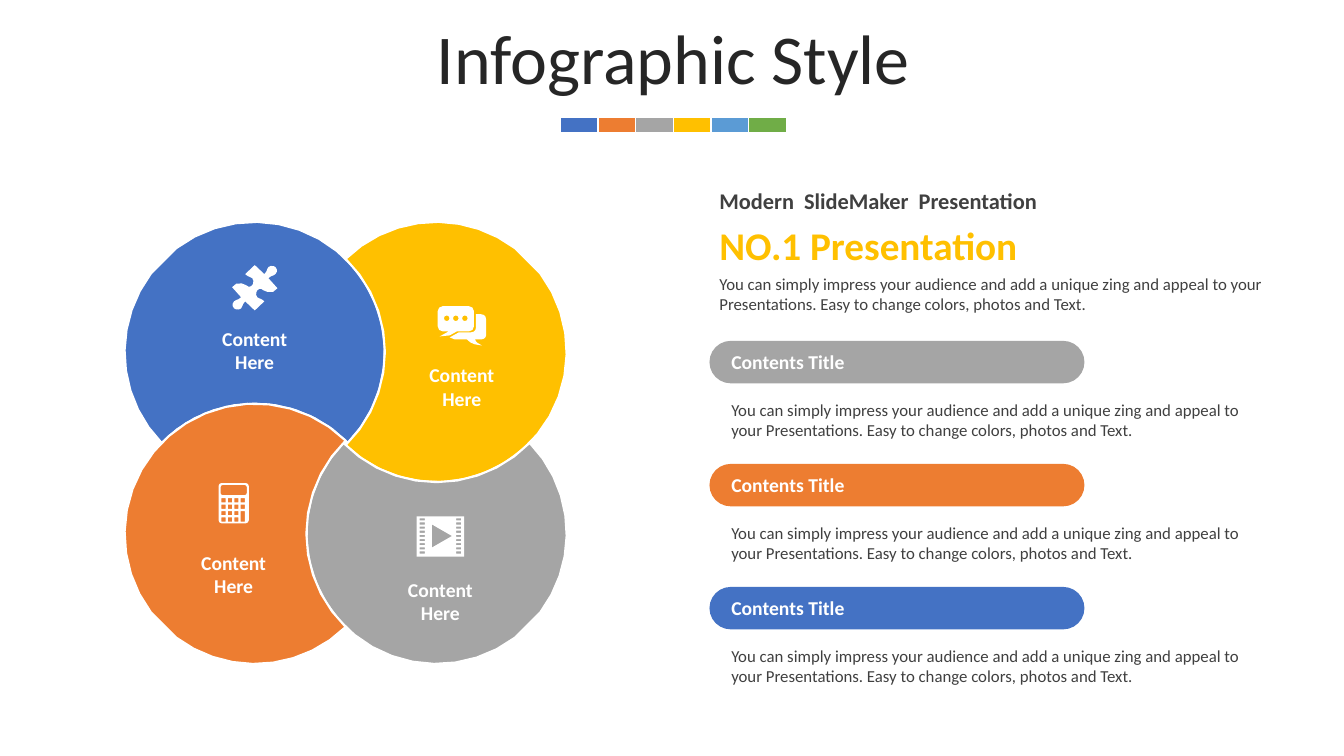
from math import acos, ceil, cos, degrees, radians, sin

from pptx import Presentation
from pptx.dml.color import RGBColor
from pptx.enum.shapes import MSO_SHAPE
from pptx.enum.text import MSO_ANCHOR, PP_ALIGN
from pptx.util import Cm, Pt

BLUE, ORANGE, GRAY, YELLOW = "4472C4", "ED7D31", "A5A5A5", "FFC000"
SKY, GREEN, WHITE, DARK, BLACK = "5B9BD5", "70AD47", "FFFFFF", "404040", "262626"
ICON_UNIT = Cm(2.54) / 100
BODY_TEXT = ("You can simply impress your audience and add a unique zing and appeal to "
             "your Presentations. Easy to change colors, photos and Text.")


def color(hex_string):
    return RGBColor.from_string(hex_string)


def paint(shape, fill, line=None, line_width=1):
    shape.shadow.inherit = False
    shape.fill.solid()
    shape.fill.fore_color.rgb = color(fill)
    if line:
        shape.line.color.rgb = color(line)
        shape.line.width = Pt(line_width)
    else:
        shape.line.fill.background()


def add_text(slide, left, top, width, height, lines, size, text_color,
             bold=False, align=PP_ALIGN.LEFT, anchor=MSO_ANCHOR.TOP):
    frame = slide.shapes.add_textbox(left, top, width, height).text_frame
    frame.word_wrap = True
    frame.vertical_anchor = anchor
    frame.text = lines
    for paragraph in frame.paragraphs:
        paragraph.alignment = align
        paragraph.font.name = "Calibri"
        paragraph.font.size = Pt(size)
        paragraph.font.bold = bold
        paragraph.font.color.rgb = color(text_color)
    return frame


# Outline geometry
def arc(x, y, radius, start, end, step=10):
    count = ceil(abs(end - start) / step)
    angles = [radians(start + (end - start) * i / count) for i in range(count + 1)]
    return [(x + radius * cos(a), y + radius * sin(a)) for a in angles]


def rectangle(x, y, width, height):
    return [(x, y), (x + width, y), (x + width, y + height), (x, y + height)]


def rounded_rectangle(x, y, width, height, radius):
    corners = rectangle(x + radius, y + radius, width - 2 * radius, height - 2 * radius)
    return [point for i, (corner_x, corner_y) in enumerate(corners)
            for point in arc(corner_x, corner_y, radius, 180 + 90 * i, 270 + 90 * i, 45)]


def trace(start, *steps):
    """Follow lines (x, y) and cubic curves (x1, y1, x2, y2, x, y)."""
    points = [start]
    for step in steps:
        if len(step) == 2:
            points.append(step)
            continue
        x0, y0 = points[-1]
        x1, y1, x2, y2, x3, y3 = step
        for t in (i / 3 for i in range(1, 4)):
            a, b, c, d = (1 - t) ** 3, 3 * t * (1 - t) ** 2, 3 * t * t * (1 - t), t ** 3
            points.append((a * x0 + b * x1 + c * x2 + d * x3,
                           a * y0 + b * y1 + c * y2 + d * y3))
    return points


def add_outline(slide, left, top, contours, unit, fill, line=None):
    detail = 1000
    builder = None
    for contour in contours:
        points = [(x * detail, y * detail) for x, y in contour]
        if builder is None:
            builder = slide.shapes.build_freeform(*points[0], scale=unit / detail)
        else:
            builder.move_to(*points[0])
        builder.add_line_segments(points[1:], close=True)
    paint(builder.convert_to_shape(left, top), fill, line, 1.5)


# Icons, each centred on (0, 0)
def puzzle_icon():
    half = trace((22.5, 0.5),
                 (19.5, 6.5, 11.5, 4.5, 8.5, 2.5), (6.5, 0.5, 4.5, 0.5, 2.5, 2.5),
                 (1.5, 3.5, 0.5, 7.5, 2.5, 9.5), (5.5, 11.5, 6.5, 10.5, 9.5, 13.5),
                 (0, 22.5), (-9.5, 13.5),
                 (-12.5, 16.5, -11.5, 17.5, -13.5, 20.5),
                 (-15.5, 22.5, -19.5, 21.5, -20.5, 20.5),
                 (-22.5, 18.5, -22.5, 15.5, -20.5, 13.5),
                 (-18.5, 11.5, -16.5, 12.5, -13.5, 9.5))
    return [half + [(-x, -y) for x, y in half]]


def speech_icon():
    back = trace((14, -11.5), (19, -11.5), (22, -11.5, 24, -9.5, 24, -6.5),
                 (24, 9.5), (24, 11.5, 22, 13.5, 19, 13.5), (13, 13.5),
                 (14, 15.5, 14, 16.5, 20, 19.5), (11, 18.5, 9, 17.5, 5, 13.5),
                 (-7, 13.5), (-12, 11.5), (-3, 6.5),
                 (9, 6.5), (12, 6.5, 14, 4.5, 14, 1.5))
    tail = [(-5, 5.5), (-12, 9.5), (-22, 10.5), (-13, 5.5)]
    dots = [arc(x, -7.5, 2.8, 0, 315, 45) for x in (-15, -6, 3)]
    return [rounded_rectangle(-24, -19.5, 36, 25, 5), tail, back] + dots


def film_icon():
    holes = [rectangle(x, -18 + 4.1 * row, 5, 2.1)
             for x in (-20.5, 15.5) for row in range(9)]
    play = [(-8.5, -12), (-8.5, 11), (11.5, -0.5)]
    return [rectangle(-23.5, -20, 47, 40), play] + holes


def calculator_icon():
    pitch, key = 6.4, 4.2
    keys = [rectangle(-12.2 + pitch * column, -5 + pitch * row, key, key)
            for column in range(4) for row in range(4) if column < 3 or row < 2]
    tall_key = rectangle(-12.2 + 3 * pitch, -5 + 2 * pitch, key, pitch + key)
    return [rounded_rectangle(-15, -20, 30, 40, 3),
            rounded_rectangle(-13, -18, 26, 10, 2), tall_key] + keys


# Title with a strip of colour chips
def add_title(slide, left, top, width, height):
    frame = add_text(slide, left, top, width, height, "Infographic Style", 50, BLACK,
                     align=PP_ALIGN.CENTER, anchor=MSO_ANCHOR.MIDDLE)
    frame.margin_top = Cm(0.25)
    paragraph = frame.paragraphs[0]
    paragraph.line_spacing = 0.7
    paragraph.space_before = Pt(10)
    chip_width, chips = Cm(0.95), (BLUE, ORANGE, GRAY, YELLOW, SKY, GREEN)
    chip_left = left + (width - chip_width * len(chips)) // 2
    for i, fill in enumerate(chips):
        chip = slide.shapes.add_shape(MSO_SHAPE.RECTANGLE, chip_left + i * chip_width,
                                      top + Cm(2.34), chip_width, Cm(0.4))
        paint(chip, fill, WHITE)


# Four interlocking circles, each cut by the next one
def add_petals(slide, center_x, center_y):
    radius, half_gap = 3.28, 2.29
    cut = degrees(acos(half_gap / radius))
    # fill, column, row, direction of the cutting circle, icon, x shift, icon y, label y
    petals = [
        (BLUE, -1, -1, 90, puzzle_icon, 0, -1.62, -0.05),
        (YELLOW, 1, -1, 180, speech_icon, 0.64, -0.66, 0.87),
        (GRAY, 1, 1, 270, film_icon, 0.1, 0.07, 1.7),
        (ORANGE, -1, 1, 0, calculator_icon, -0.53, -0.77, 1.02),
    ]
    for fill, column, row, toward, icon, shift, icon_y, label_y in petals:
        left = center_x + Cm(half_gap * column)
        top = center_y + Cm(half_gap * row)
        neighbor_x = 2 * half_gap * cos(radians(toward))
        neighbor_y = 2 * half_gap * sin(radians(toward))
        outline = (arc(0, 0, radius, toward + cut, toward + 127)
                   + arc(0, 0, radius, toward + 143, toward + 360 - cut)
                   + arc(neighbor_x, neighbor_y, radius,
                         toward + 180 + cut, toward + 180 - cut))
        add_outline(slide, left, top, [outline], Cm(1), fill, WHITE)
        add_outline(slide, left + Cm(shift), top + Cm(icon_y), icon(), ICON_UNIT, WHITE)
        width, height = Cm(4), Cm(1.45)
        add_text(slide, left + Cm(shift) - width // 2, top + Cm(label_y) - height // 2,
                 width, height, "Content\nHere", 14, WHITE, True,
                 PP_ALIGN.CENTER, MSO_ANCHOR.MIDDLE)


# Heading block
def add_heading(slide, left, top, width):
    add_text(slide, left, top, width, Cm(0.94),
             "Modern  SlideMaker  Presentation", 16, DARK, True)
    add_text(slide, left, top + Cm(0.84), width, Cm(1.45),
             "NO.1 Presentation", 28, YELLOW, True)
    add_text(slide, left, top + Cm(2.18), width, Cm(1.27), BODY_TEXT, 12, DARK)


# Pill with a title and a text below it
def add_section(slide, left, top, width, fill):
    pill = slide.shapes.add_shape(MSO_SHAPE.ROUNDED_RECTANGLE, left, top, Cm(9.45), Cm(1.07))
    pill.adjustments[0] = 0.5
    paint(pill, fill)
    text_left = left + Cm(0.3)
    add_text(slide, text_left, top + Cm(0.1), Cm(8), Cm(0.86),
             "Contents Title", 14, WHITE, True)
    add_text(slide, text_left, top + Cm(1.35), width, Cm(1.27), BODY_TEXT, 12, DARK)


def main():
    presentation = Presentation()
    presentation.slide_width, presentation.slide_height = Cm(33.87), Cm(19.05)
    slide = presentation.slides.add_slide(presentation.slide_layouts[6])
    add_title(slide, Cm(0.89), Cm(0.61), Cm(32.16), Cm(2))
    add_petals(slide, Cm(8.71), Cm(11.16))
    add_heading(slide, Cm(17.88), Cm(4.6), Cm(14.25))
    for i, fill in enumerate((GRAY, ORANGE, BLUE)):
        add_section(slide, Cm(17.88), Cm(8.59 + 3.1 * i), Cm(13.97), fill)
    presentation.save("out.pptx")


if __name__ == "__main__":
    main()
